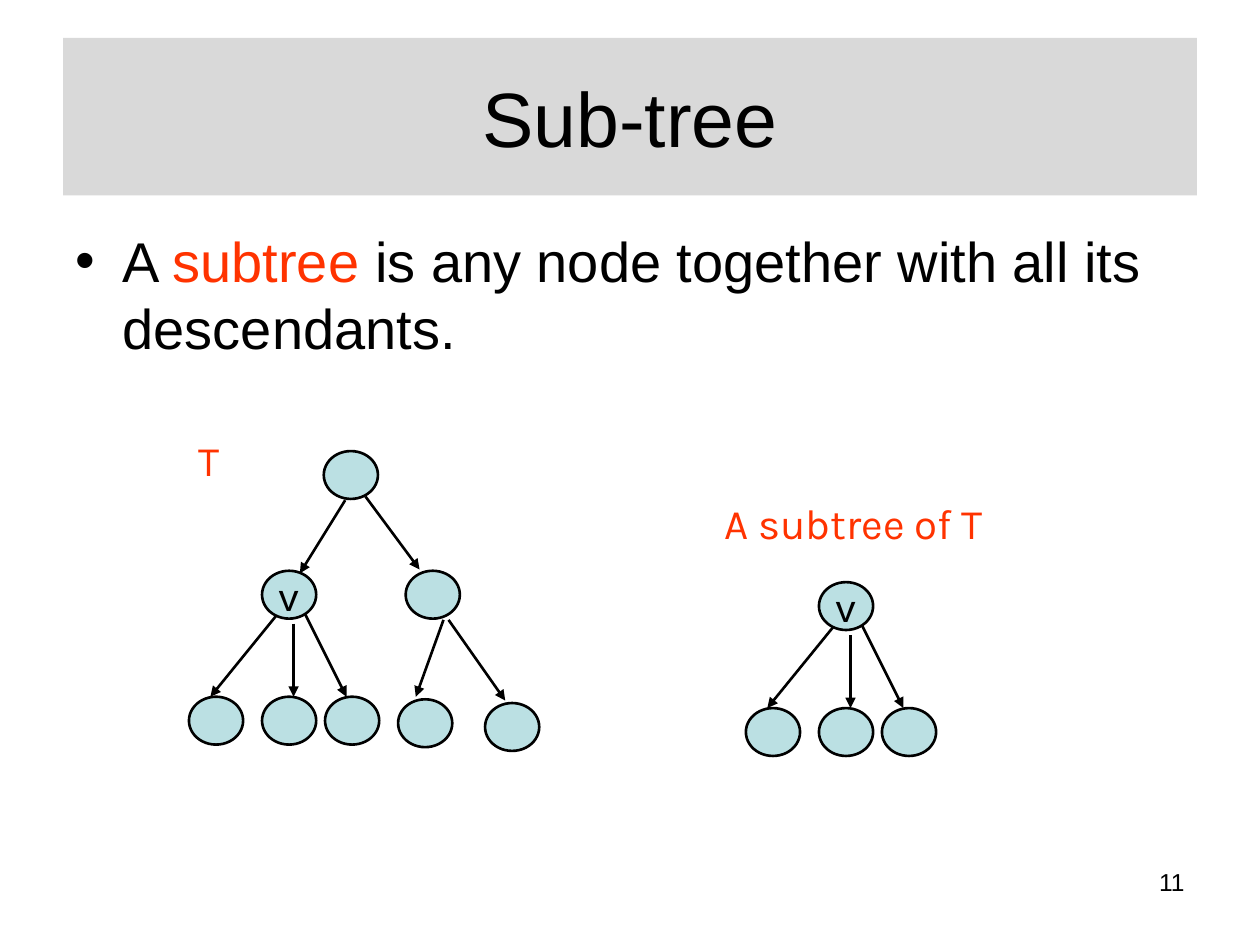
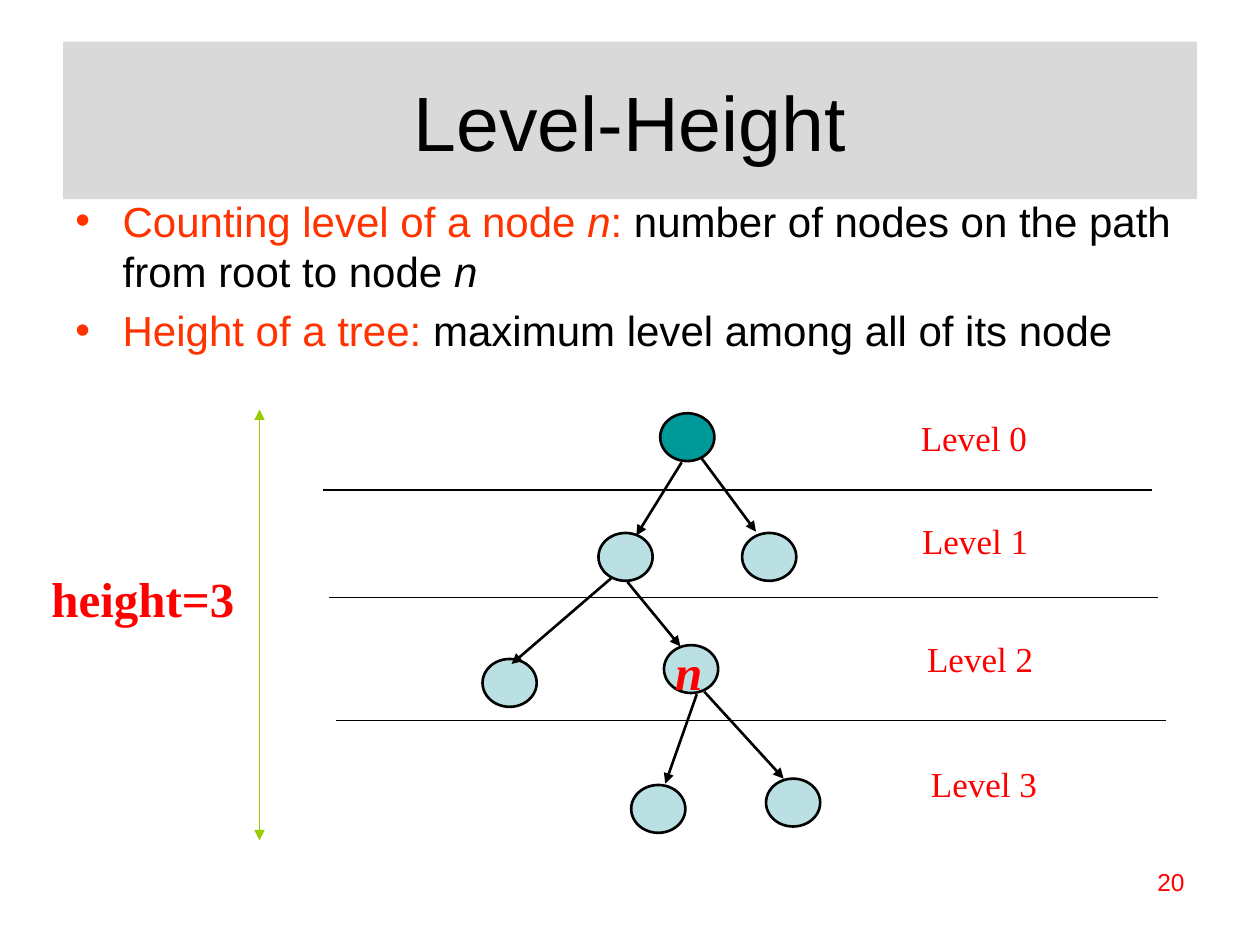
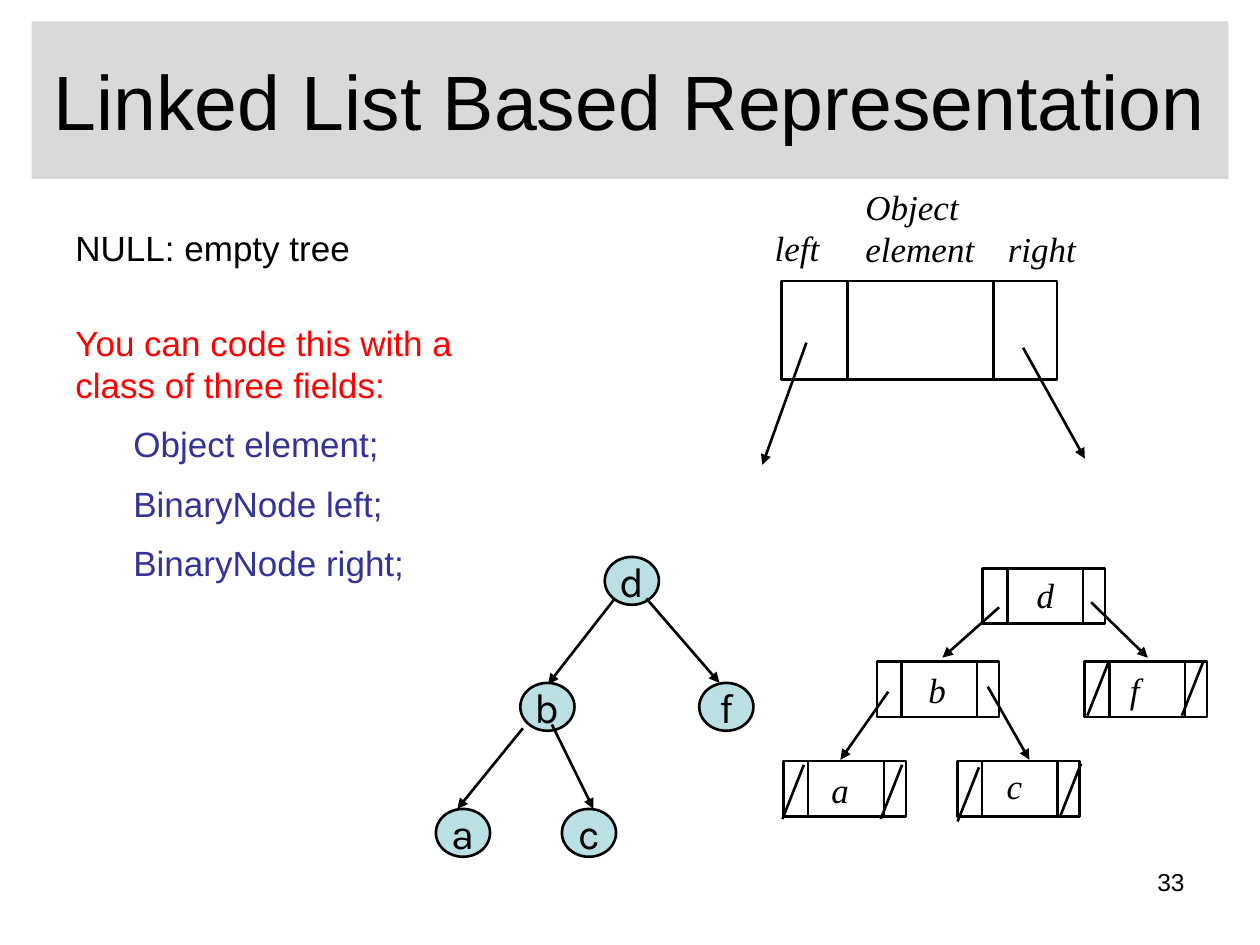
from lxml import etree
from pptx import Presentation
from pptx.dml.color import RGBColor
from pptx.enum.shapes import MSO_CONNECTOR as LINK, MSO_SHAPE as SHAPE
from pptx.enum.text import MSO_ANCHOR as ANCHOR, MSO_AUTO_SIZE as FIT, PP_ALIGN as ALIGN
from pptx.oxml.ns import qn
from pptx.util import Inches, Pt

BLACK = RGBColor(0x00, 0x00, 0x00)
GRAY = RGBColor(0xD9, 0xD9, 0xD9)
RED = RGBColor(0xFF, 0x00, 0x00)
ORANGE = RGBColor(0xFF, 0x33, 0x00)
NAVY = RGBColor(0x33, 0x33, 0x99)
GREEN = RGBColor(0x99, 0xCC, 0x00)
TEAL = RGBColor(0x00, 0x99, 0x99)
PALE = RGBColor(0xBB, 0xE0, 0xE3)

SANS, SERIF, ROUND = "Arial", "Times New Roman", "Karla"
WIDE, HIGH = Inches(10), Inches(7.5)
COLS, ROWS = 100, 75
NODE = (4.3, 3.8)
CELL = (9.7, 4.4)

# Links from a parent node, measured from the top left of that node.
CROWN = [(1.7, 3.9, -1.9, 9.7), (3.3, 3.6, 7.6, 9.4)]
FAN = [(1.1, 3.6, -4.1, 10), (2.5, 4.2, 2.5, 10), (3.4, 3.4, 6.7, 10)]


def across(n):
    return round(WIDE * n / COLS)


def down(n):
    return round(HIGH * n / ROWS)


def place(x, y, w, h):
    """Turn grid columns and rows into slide lengths."""
    return across(x), down(y), across(w), down(h)


class Deck:
    """Holds the shared style and the slide being drawn."""

    def __init__(self):
        self.prs = Presentation()
        self.prs.slide_width, self.prs.slide_height = WIDE, HIGH

    def start(self, title, box, number, color=BLACK):
        """Add a slide with its title band and its page number."""
        self.slide = self.prs.slides.add_slide(self.prs.slide_layouts[5])
        self.shapes = self.slide.shapes
        band = self.shapes.title
        band.left, band.top, band.width, band.height = place(*box)
        band.fill.solid()
        band.fill.fore_color.rgb = GRAY
        frame = band.text_frame
        frame.text = title
        frame.auto_size = FIT.NONE
        frame.vertical_anchor = ANCHOR.MIDDLE
        self.style(frame.paragraphs[0], 44, SANS, BLACK, align=ALIGN.CENTER)
        self.text((71.7, 68.3, 23.3, 5.2), number, 14, SANS, color, align=ALIGN.RIGHT)

    def style(self, para, size, face, color, bold=False, italic=False, align=ALIGN.LEFT):
        para.alignment = align
        for run in para.runs:
            font = run.font
            font.size, font.name = Pt(size), face
            font.bold, font.italic = bold, italic
            font.color.rgb = color

    def text(self, box, words, size, face, color, **look):
        frame = self.shapes.add_textbox(*place(*box)).text_frame
        frame.word_wrap = True
        frame.text = words
        for para in frame.paragraphs:
            self.style(para, size, face, color, **look)
        return frame.paragraphs

    def points(self, box, size, items):
        """Write bullets, each a list of (words, colour, italic) runs."""
        frame = self.shapes.add_textbox(*place(*box)).text_frame
        frame.word_wrap = True
        for i, parts in enumerate(items):
            para = frame.add_paragraph() if i else frame.paragraphs[0]
            props = para._p.get_or_add_pPr()
            props.set("marL", str(across(3.75)))
            props.set("indent", str(-across(3.75)))
            etree.SubElement(props, qn("a:buFont")).set("typeface", SANS)
            etree.SubElement(props, qn("a:buChar")).set("char", "•")
            if i:
                para.space_before = Pt(size * 0.2)
            for words, color, italic in parts:
                run = para.add_run()
                run.text = words
                font = run.font
                font.size, font.name, font.italic = Pt(size), SANS, italic
                font.color.rgb = color

    def outline(self, kind, box):
        shape = self.shapes.add_shape(kind, *place(*box))
        shape.shadow.inherit = False
        shape.line.color.rgb = BLACK
        shape.line.width = Pt(1.5)
        return shape

    def node(self, x, y, name="", fill=PALE):
        shape = self.outline(SHAPE.OVAL, (x, y, *NODE))
        shape.fill.solid()
        shape.fill.fore_color.rgb = fill
        if name:
            frame = shape.text_frame
            frame.text = name
            frame.word_wrap = False
            frame.vertical_anchor = ANCHOR.MIDDLE
            self.style(frame.paragraphs[0], 24, ROUND, BLACK, align=ALIGN.CENTER)

    def line(self, x1, y1, x2, y2, ends=(), color=BLACK, width=1.5):
        """Draw a line; ends names the tips that get arrowheads."""
        link = self.shapes.add_connector(
            LINK.STRAIGHT, across(x1), down(y1), across(x2), down(y2))
        link.line.color.rgb = color
        link.line.width = Pt(width)
        for end in ends:
            etree.SubElement(link.line._ln, qn(f"a:{end}")).set("type", "triangle")
        etree.SubElement(link._element.spPr, qn("a:effectLst"))

    def arrows(self, links, x=0, y=0):
        for x1, y1, x2, y2 in links:
            self.line(x + x1, y + y1, x + x2, y + y2, ["tailEnd"])

    def crown(self, x, y, left="", fill=PALE):
        """Draw a root with its two children."""
        self.node(x, y, fill=fill)
        self.node(x - 4.9, y + 9.5, left)
        self.node(x + 6.5, y + 9.5)
        self.arrows(CROWN, x, y)

    def fan(self, x, y):
        """Draw three children below a node."""
        for step in (-5.8, 0, 5):
            self.node(x + step, y + 10)
        self.arrows(FAN, x, y)

    def record(self, x, y, size, cuts):
        """Draw a box split at the given shares of its width."""
        w, h = size
        self.outline(SHAPE.RECTANGLE, (x, y, w, h)).fill.background()
        for cut in cuts:
            self.line(x + w * cut, y, x + w * cut, y + h)


def subtree(deck):
    deck.start("Sub-tree", (5, 3, 90, 12.5), "11")
    deck.points((5, 17.5, 90, 49.5), 32, [[
        ("A ", BLACK, False), ("subtree", ORANGE, False),
        (" is any node together with all its descendants.", BLACK, False)]])
    deck.crown(25.7, 35.8, "v")
    deck.fan(20.8, 45.3)
    deck.node(31.6, 55.5)
    deck.node(38.5, 55.8)
    deck.arrows([(35.2, 49.2, 33, 55.3), (35.6, 49.2, 40.1, 55.6)])
    deck.node(65, 46.2, "v")
    deck.fan(65, 46.2)
    deck.text((14.8, 34, 5, 5), "T", 24, ROUND, ORANGE)
    deck.text((56.5, 39, 25, 5), "A subtree of T", 24, ROUND, ORANGE)


def levels(deck):
    deck.start("Level-Height", (5, 3.3, 90, 12.5), "20", RED)
    deck.points((5, 15, 90, 15), 24, [
        [("Counting level of a node ", ORANGE, False), ("n", ORANGE, True),
         (":", ORANGE, False),
         (" number of nodes on the path from root to node ", BLACK, False),
         ("n", BLACK, True)],
        [("Height of a tree: ", ORANGE, False),
         ("maximum level among all of its node", BLACK, False)]])
    deck.crown(52.4, 32.8, fill=TEAL)
    for x, y in [(38.3, 52.3), (52.7, 51.2), (50.1, 62.3), (60.8, 61.8)]:
        deck.node(x, y)
    deck.arrows([(48.5, 45.9, 40.6, 52.7), (49.8, 46.2, 54, 51.3),
                 (55.3, 55.1, 52.8, 62.2), (55.9, 54.9, 62.2, 61.8)])
    deck.text((52.6, 50.4, 5, 5.7), "n", 28, SERIF, RED, bold=True, italic=True)
    for x, y in [(25.6, 38.9), (26.1, 47.4), (26.7, 57.2)]:
        deck.line(x, y, x + 65.8, y, width=0.75)
    for i, (x, y) in enumerate([(72.1, 32.6), (72.2, 40.7), (72.6, 50.1), (72.9, 60)]):
        deck.text((x, y, 12, 4.3), f"Level {i}", 20, SERIF, RED)
    deck.text((3.1, 44.6, 17.8, 5.7), "height=3", 28, SERIF, RED, bold=True)
    deck.line(20.6, 32.5, 20.6, 66.7, ["headEnd", "tailEnd"], GREEN, 0.75)


def linked(deck):
    deck.start("Linked List Based Representation", (2.5, 1.7, 95, 12.5), "33")
    deck.text((5, 17.5, 40, 5), "NULL: empty tree", 20, SANS, BLACK)

    deck.record(62, 22.3, (21.9, 7.8), (0.24, 0.77))
    for box, words in [((60.5, 17.5, 7, 4.3), "left"),
                       ((79, 17.6, 9, 4.3), "right"),
                       ((67.7, 14.2, 12, 7.7), "Object\nelement")]:
        deck.text(box, words, 20, SERIF, BLACK, italic=True)
    deck.arrows([(64, 27.2, 60.5, 36.9), (81.2, 27.6, 86.1, 36.4)])

    for name, x, y in [("d", 48, 44.2), ("b", 41.3, 54.2), ("f", 55.5, 54.2),
                       ("a", 34.6, 64.2), ("c", 44.6, 64.2)]:
        deck.node(x, y, name)
    deck.arrows([(48.8, 47.5, 43.5, 54.3), (51.3, 47.5, 57.1, 54.2),
                 (41.5, 57.8, 36.3, 64.2), (43.8, 57.5, 47.1, 64.2)])

    for name, x, y, dx, dy in [("d", 78, 45.1, 3.3, -0.1), ("b", 69.6, 52.5, 3.1, 0.1),
                               ("f", 86.1, 52.5, 2.6, 0.1), ("a", 62.2, 60.4, 2.8, 0.1),
                               ("c", 76, 60.4, 2.9, -0.2)]:
        deck.record(x, y, CELL, (0.2, 0.82))
        deck.text((x + dx, y + dy, 4, 4.3), name, 20, SERIF, BLACK, italic=True)
    deck.arrows([(79.3, 48.2, 74.8, 52.2), (86.6, 47.8, 91.1, 52.2),
                 (70.5, 54.9, 66.7, 60.3), (78.4, 54.5, 81.7, 60.3)])
    for x, y in [(63.8, 60.7), (71.6, 60.7), (77.7, 60.9), (85.8, 60.6),
                 (88, 52.5), (95.5, 52.5)]:
        deck.line(x, y, x - 1.7, y + 4.3)

    fields = ["Object element;", "BinaryNode left;", "BinaryNode right;"]
    words = "\n".join(["You can code this with a class of three fields:", *fields])
    paras = deck.text((5, 25, 34.2, 22.7), words, 20, SANS, NAVY)
    deck.style(paras[0], 20, SANS, RED)
    for para in paras[1:]:
        para._p.get_or_add_pPr().set("marL", str(across(4.6)))
        para.space_before = Pt(10)


def main():
    deck = Deck()
    for draw in (subtree, levels, linked):
        draw(deck)
    deck.prs.save("out.pptx")


if __name__ == "__main__":
    main()
